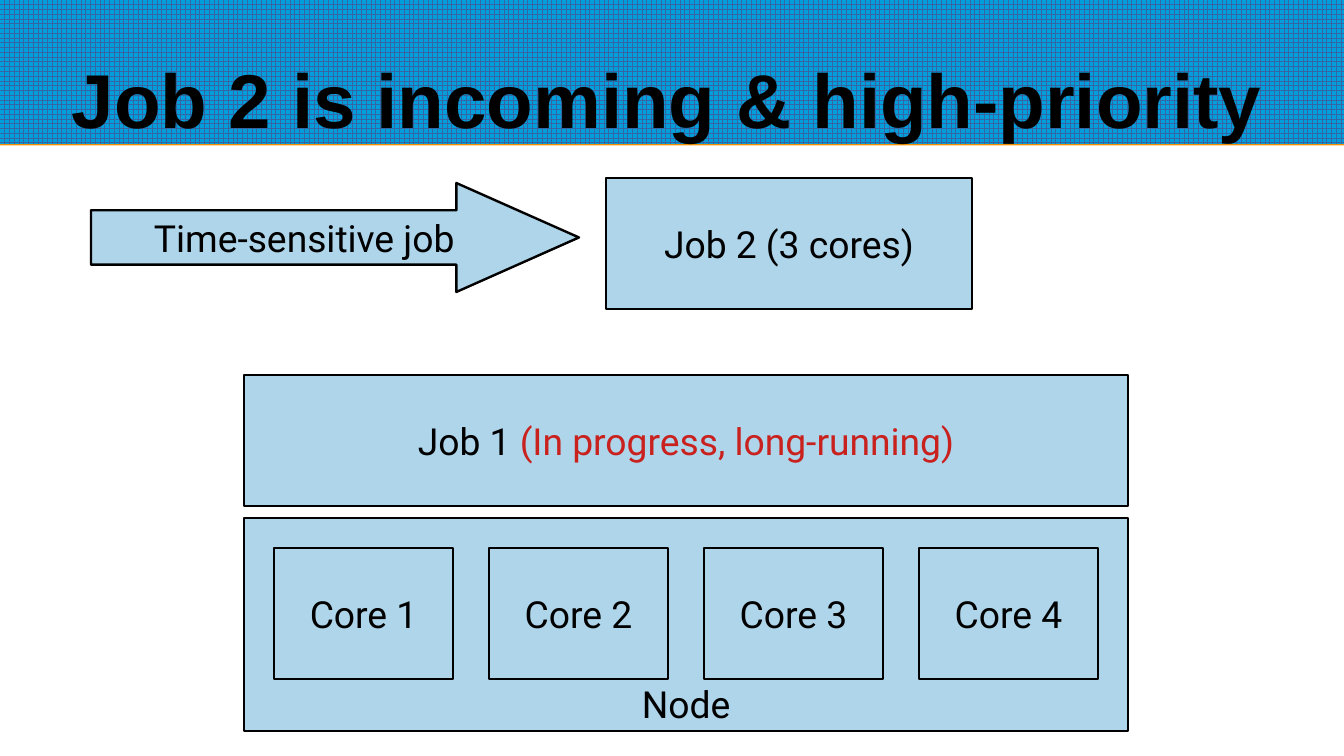
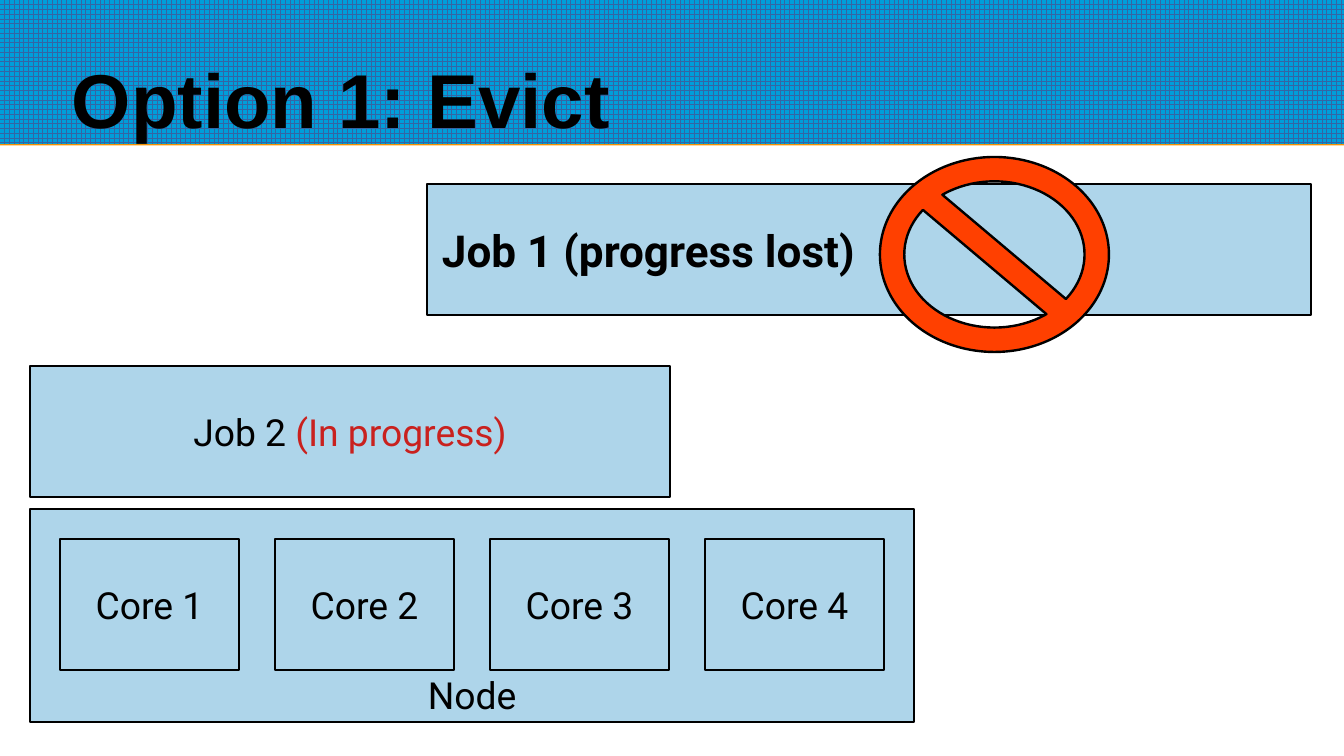
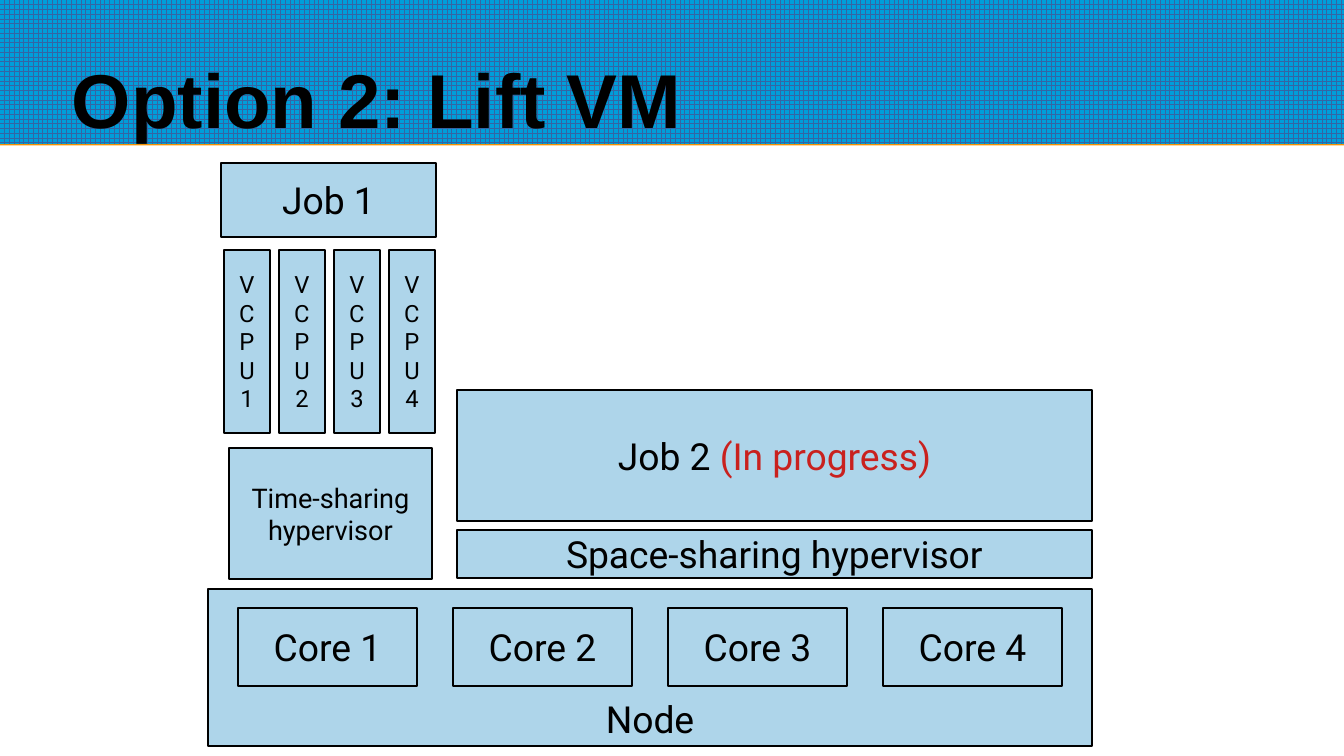
from dataclasses import dataclass

import lxml.etree
import pptx
import pptx.dml.color
import pptx.enum.dml
import pptx.enum.shapes
import pptx.enum.text
import pptx.oxml.ns
import pptx.presentation
import pptx.shapes.autoshape
import pptx.slide
import pptx.util

RGB = pptx.dml.color.RGBColor
SHAPE = pptx.enum.shapes.MSO_SHAPE
ANCHOR = pptx.enum.text.MSO_ANCHOR
ALIGN = pptx.enum.text.PP_ALIGN
qn = pptx.oxml.ns.qn

BLACK = RGB(0x00, 0x00, 0x00)
PALE_BLUE = RGB(0xAE, 0xD5, 0xEA)
BAND_BLUE = RGB(0x00, 0x9E, 0xDA)
GRID_BLUE = RGB(0x34, 0x65, 0xA4)
STATUS_RED = RGB(0xC9, 0x21, 0x1E)
SIGN_ORANGE = RGB(0xFF, 0x40, 0x00)
BAND_EDGE = "F49100"

TITLE_FONT = "Arial"
BODY_FONT = "Roboto"
PX_PER_INCH = 122
SLIDE_W, SLIDE_H = 1344, 756
BAND_H = 144
JOB_H = 131
NODE_W = 884
NODE_INSET = 30
CORES = 4
CORE_GAP = 36
VCPUS = 4
VCPU_GAP = 9


@dataclass(frozen=True)
class Rect:
    x: int
    y: int
    w: int
    h: int


@dataclass(frozen=True)
class Run:
    text: str
    color: RGB = BLACK


@dataclass(frozen=True)
class Style:
    size: int = 22
    bold: bool = False
    font: str = BODY_FONT
    align: ALIGN = ALIGN.CENTER
    anchor: ANCHOR = ANCHOR.MIDDLE
    inset: int = 5
    wrap: bool = False


BODY = Style()
NODE_LABEL = Style(anchor=ANCHOR.BOTTOM)
SMALL = Style(size=16)
VCPU_LABEL = Style(size=14, wrap=True)
EVICTED_LABEL = Style(size=26, bold=True, align=ALIGN.LEFT, inset=15, wrap=True)
TITLE = Style(size=45, bold=True, font=TITLE_FONT, align=ALIGN.LEFT,
              anchor=ANCHOR.BOTTOM, inset=0, wrap=True)

Lines = list[list[Run]]


def px(n: int) -> pptx.util.Emu:
    return pptx.util.Emu(round(n * 914400 / PX_PER_INCH))


def emu_box(rect: Rect) -> tuple[pptx.util.Emu, ...]:
    return px(rect.x), px(rect.y), px(rect.w), px(rect.h)


def plain(*lines: str) -> Lines:
    """One paragraph of black text for each line."""
    return [[Run(line)] for line in lines]


def job(name: str, status: str) -> Lines:
    return [[Run(f"{name} "), Run(f"({status})", STATUS_RED)]]


def write(sp: pptx.shapes.autoshape.Shape, lines: Lines, style: Style) -> None:
    tf = sp.text_frame
    tf.word_wrap = style.wrap
    tf.vertical_anchor = style.anchor
    tf.margin_left = tf.margin_right = px(style.inset)
    tf.margin_top = tf.margin_bottom = px(style.inset)
    for i, line in enumerate(lines):
        p = tf.add_paragraph() if i else tf.paragraphs[0]
        p.alignment = style.align
        for run in line:
            r = p.add_run()
            r.text = run.text
            r.font.name = style.font
            r.font.size = pptx.util.Pt(style.size)
            r.font.bold = style.bold
            r.font.color.rgb = run.color


def add_box(slide: pptx.slide.Slide, rect: Rect, lines: Lines,
            style: Style = BODY, kind: SHAPE = SHAPE.RECTANGLE,
            fill: RGB = PALE_BLUE, adjust: tuple[float, ...] = ()) -> None:
    sp = slide.shapes.add_shape(kind, *emu_box(rect))
    sp.shadow.inherit = False
    for i, value in enumerate(adjust):
        sp.adjustments[i] = value
    sp.fill.solid()
    sp.fill.fore_color.rgb = fill
    sp.line.color.rgb = BLACK
    sp.line.width = pptx.util.Pt(1.42)
    write(sp, lines, style)


def add_band(slide: pptx.slide.Slide) -> None:
    """Gridded band with a thin hard shadow as its lower edge."""
    sp = slide.shapes.add_shape(SHAPE.RECTANGLE,
                                *emu_box(Rect(0, 0, SLIDE_W, BAND_H)))
    sp.fill.patterned()
    sp.fill.pattern = pptx.enum.dml.MSO_PATTERN.LARGE_GRID
    sp.fill.fore_color.rgb = GRID_BLUE
    sp.fill.back_color.rgb = BAND_BLUE
    sp.line.fill.background()
    sp.shadow.inherit = False
    effects = sp._element.spPr.find(qn("a:effectLst"))
    shadow = lxml.etree.SubElement(
        effects, qn("a:outerShdw"), blurRad="0",
        dist=str(pptx.util.Pt(0.9)), dir="5400000", rotWithShape="0")
    lxml.etree.SubElement(shadow, qn("a:srgbClr"), val=BAND_EDGE)


def add_titled_slide(prs: pptx.presentation.Presentation,
                     title: str) -> pptx.slide.Slide:
    slide = prs.slides.add_slide(prs.slide_layouts[6])
    add_band(slide)
    sp = slide.shapes.add_textbox(*emu_box(Rect(72, 12, 1200, BAND_H - 12)))
    write(sp, plain(title), TITLE)
    return slide


def add_node(slide: pptx.slide.Slide, x: int, y: int, h: int = 213,
             core_dy: int = NODE_INSET, core_h: int = JOB_H) -> None:
    """Node box holding an evenly spaced row of cores."""
    add_box(slide, Rect(x, y, NODE_W, h), plain("Node"), NODE_LABEL)
    w = (NODE_W - 2 * NODE_INSET - (CORES - 1) * CORE_GAP) // CORES
    for i in range(CORES):
        core = Rect(x + NODE_INSET + i * (w + CORE_GAP), y + core_dy, w, core_h)
        add_box(slide, core, plain(f"Core {i + 1}"))


def add_vcpus(slide: pptx.slide.Slide, area: Rect) -> None:
    w = (area.w - (VCPUS - 1) * VCPU_GAP) // VCPUS
    for i in range(VCPUS):
        vcpu = Rect(area.x + i * (w + VCPU_GAP), area.y, w, area.h)
        add_box(slide, vcpu, plain(*f"VCPU{i + 1}"), VCPU_LABEL)


def build_incoming(prs: pptx.presentation.Presentation) -> None:
    slide = add_titled_slide(prs, "Job 2 is incoming & high-priority")
    add_box(slide, Rect(606, 178, 366, JOB_H), plain("Job 2 (3 cores)"))
    add_box(slide, Rect(91, 183, 488, 109), plain("Time-sensitive job"),
            kind=SHAPE.RIGHT_ARROW, adjust=(0.5, 1.125))
    add_node(slide, 244, 518)
    add_box(slide, Rect(244, 375, NODE_W, JOB_H),
            job("Job 1", "In progress, long-running"))


def build_evict(prs: pptx.presentation.Presentation) -> None:
    slide = add_titled_slide(prs, "Option 1: Evict")
    add_node(slide, 30, 509)
    add_box(slide, Rect(30, 366, 640, JOB_H), job("Job 2", "In progress"))
    add_box(slide, Rect(427, 184, NODE_W, JOB_H),
            plain("Job 1 (progress lost)"), EVICTED_LABEL)
    add_box(slide, Rect(880, 157, 229, 195), [], kind=SHAPE.NO_SYMBOL,
            fill=SIGN_ORANGE, adjust=(0.125,))


def build_lift(prs: pptx.presentation.Presentation) -> None:
    slide = add_titled_slide(prs, "Option 2: Lift VM")
    add_node(slide, 208, 589, h=157, core_dy=19, core_h=78)
    add_box(slide, Rect(457, 390, 635, JOB_H), job("Job 2", "In progress"))
    add_box(slide, Rect(457, 530, 635, 48), plain("Space-sharing hypervisor"))
    add_box(slide, Rect(229, 448, 203, JOB_H),
            plain("Time-sharing", "hypervisor"), SMALL)
    add_vcpus(slide, Rect(224, 250, 213, 183))
    add_box(slide, Rect(221, 163, 215, 74), plain("Job 1"))


def main() -> None:
    prs = pptx.Presentation()
    prs.slide_width, prs.slide_height = px(SLIDE_W), px(SLIDE_H)
    build_incoming(prs)
    build_evict(prs)
    build_lift(prs)
    prs.save("out.pptx")


if __name__ == "__main__":
    main()
